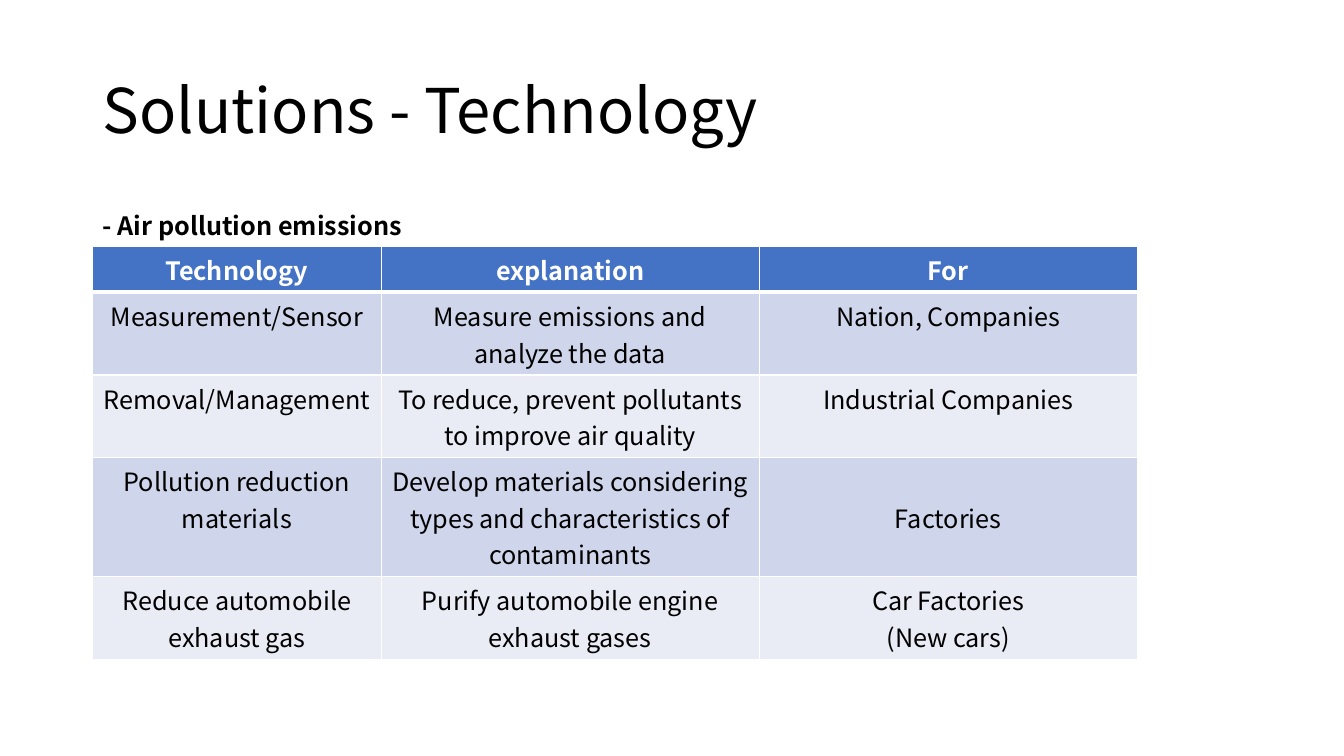
from lxml import etree
from pptx import Presentation, util as u
from pptx.dml.color import RGBColor
from pptx.enum import text
from pptx.oxml import ns

FONT = "Noto Sans CJK KR"
BLACK, WHITE, HEADER = "000000", "FFFFFF", "4472C4"
BANDS = ["CFD5EA", "E9EBF5"]
COLUMNS = [2.86, 3.75, 3.75]
LINE, PADDING = 0.36, 0.1
LINE_COUNTS = [1, 2, 2, 3, 2]
ROWS = [
    ["Technology", "explanation", "For"],
    ["Measurement/Sensor", "Measure emissions and analyze the data",
     "Nation, Companies"],
    ["Removal/Management",
     "To reduce, prevent pollutants to improve air quality",
     "Industrial Companies"],
    ["Pollution reduction materials",
     "Develop materials considering types and characteristics of contaminants",
     "Factories"],
    ["Reduce automobile exhaust gas",
     "Purify automobile engine exhaust gases",
     "Car Factories\n(New cars)"],
]


def colour(value):
    """Turn a hex string into a colour."""
    return RGBColor.from_string(value)


def write(frame, words, size=18, bold=False, ink=BLACK, **layout):
    """Fill a text frame, one paragraph for each line of words."""
    frame.text = words
    for para in frame.paragraphs:
        for name, value in layout.items():
            setattr(para, name, value)
        for span in para.runs:
            span.font.color.rgb = colour(ink)
            font = {"name": FONT, "size": u.Pt(size), "bold": bold}
            for name, value in font.items():
                setattr(span.font, name, value)


def add_text(page, box, words, anchor, **style):
    """Place a wrapping text box in a box given in inches."""
    frame = page.shapes.add_textbox(*map(u.Inches, box)).text_frame
    frame.word_wrap = True
    frame.vertical_anchor = anchor
    write(frame, words, **style)


def add_borders(cell, bottom):
    """Draw white lines round a cell, with its own bottom width in points."""
    properties = cell._tc.get_or_add_tcPr()
    widths = {"lnL": 1, "lnR": 1, "lnT": 1, "lnB": bottom}
    for index, (side, width) in enumerate(widths.items()):
        line = etree.Element(ns.qn("a:" + side), w=str(u.Pt(width)))
        fill = etree.SubElement(line, ns.qn("a:solidFill"))
        etree.SubElement(fill, ns.qn("a:srgbClr"), val=WHITE)
        properties.insert(index, line)


def add_technology_table(page, left, top):
    """Place the banded table with its top left corner at the given point."""
    heights = [PADDING + LINE * count for count in LINE_COUNTS]
    box = left, top, sum(COLUMNS), sum(heights)
    table = page.shapes.add_table(len(ROWS), len(COLUMNS),
                                  *map(u.Inches, box)).table
    for column, width in zip(table.columns, COLUMNS):
        column.width = u.Inches(width)
    for index, (row, words) in enumerate(zip(table.rows, ROWS)):
        row.height = u.Inches(heights[index])
        is_header = index == 0
        for cell, entry in zip(row.cells, words):
            cell.fill.solid()
            cell.fill.fore_color.rgb = colour(
                HEADER if is_header else BANDS[(index - 1) % 2])
            write(cell.text_frame, entry, bold=is_header,
                  ink=WHITE if is_header else BLACK,
                  alignment=text.PP_ALIGN.CENTER)
            add_borders(cell, bottom=3 if is_header else 1)
            if entry == "Factories":
                cell.vertical_anchor = text.MSO_ANCHOR.MIDDLE


def build_solutions(page, left):
    """Place the title, the caption and the table on one left edge."""
    add_text(page, (left, 0.4, 11.5, 1.45), "Solutions - Technology",
             text.MSO_ANCHOR.MIDDLE, size=44, line_spacing=0.9)
    add_technology_table(page, left, 2.44)
    add_text(page, (left, 2.04, 3.82, 0.4), "- Air pollution emissions",
             text.MSO_ANCHOR.TOP, bold=True)


deck = Presentation()
deck.slide_width, deck.slide_height = u.Inches(13.33), u.Inches(7.5)
build_solutions(deck.slides.add_slide(deck.slide_layouts[6]), left=0.92)
deck.save("out.pptx")
